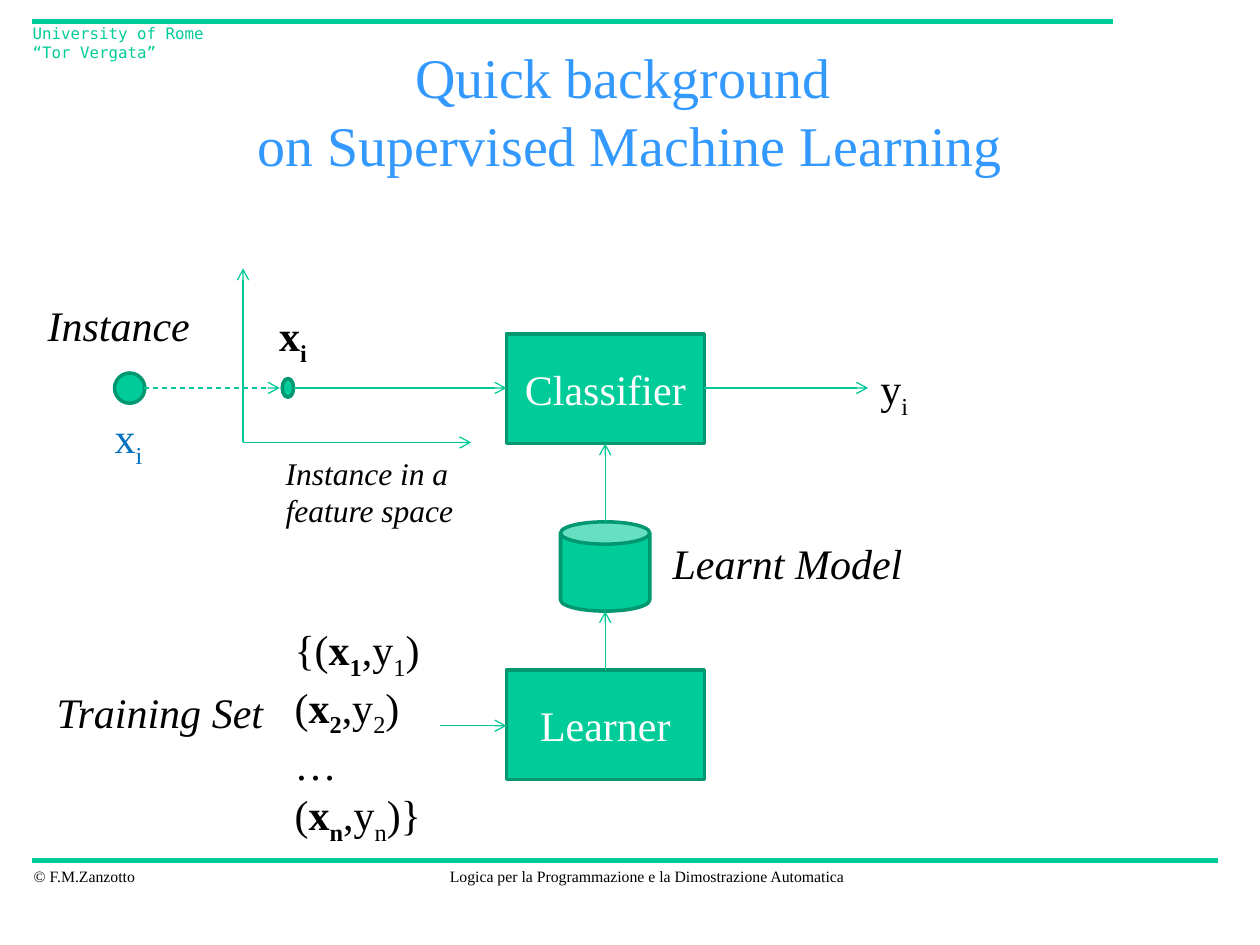
from lxml import etree
from pptx import Presentation
from pptx.dml.color import RGBColor
from pptx.enum.dml import MSO_LINE
from pptx.enum.shapes import MSO_CONNECTOR, MSO_SHAPE
from pptx.enum.text import MSO_ANCHOR, MSO_AUTO_SIZE, PP_ALIGN
from pptx.oxml.ns import qn
from pptx.util import Cm, Pt

RECT = MSO_SHAPE.RECTANGLE
CAN = MSO_SHAPE.CAN
DOT = MSO_SHAPE.FLOWCHART_CONNECTOR
STRAIGHT = MSO_CONNECTOR.STRAIGHT
DASH = MSO_LINE.DASH
LEFT, CENTER = PP_ALIGN.LEFT, PP_ALIGN.CENTER
MIDDLE, TOP = MSO_ANCHOR.MIDDLE, MSO_ANCHOR.TOP
GROW = MSO_AUTO_SIZE.SHAPE_TO_FIT_TEXT

COLORS = {
    "green": "00CC99",
    "outline": "009771",
    "arrow": "00C896",
    "title": "3399FF",
    "instance": "0070C0",
    "black": "000000",
    "white": "FFFFFF",
}
SERIF = "Times New Roman"
MONO = "DejaVu Sans Mono"

FLOW_Y = 7.82
MODEL_X = 12.2
BOX_X, BOX_W, BOX_H = 10.21, 3.99, 2.21
CLASSIFIER_Y, LEARNER_Y = 6.73, 13.51
MODEL_Y, MODEL_SIZE = 10.52, 1.8
ORIGIN_X, ORIGIN_Y = 4.9, 8.92


def color(name):
    return RGBColor.from_string(COLORS[name])


def style_font(font, size, ink, name=SERIF, **flags):
    formats = {"size": Pt(size), "name": name, **flags}
    for attribute, value in formats.items():
        setattr(font, attribute, value)
    font.color.rgb = color(ink)


def write_runs(paragraph, runs, size, ink, name=SERIF, italic=False):
    for text, marks in runs:
        run = paragraph.add_run()
        run.text = text
        style_font(run.font, size, ink, name, italic=italic, bold="b" in marks)
        if "s" in marks:
            run.font._element.set("baseline", "-25000")


def add_label(slide, place, lines, size=24, ink="black", name=SERIF,
              italic=False, wrap=False, align=LEFT):
    frame = slide.shapes.add_textbox(*map(Cm, place)).text_frame
    formats = {"word_wrap": wrap, "auto_size": GROW, "vertical_anchor": TOP}
    for attribute, value in formats.items():
        setattr(frame, attribute, value)
    for number, runs in enumerate(lines):
        paragraph = frame.add_paragraph() if number else frame.paragraphs[0]
        paragraph.alignment = align
        write_runs(paragraph, runs, size, ink, name, italic)


def add_node(slide, preset, place, text=""):
    node = slide.shapes.add_shape(preset, *map(Cm, place))
    node.shadow.inherit = False
    node.fill.solid()
    node.fill.fore_color.rgb = color("green")
    node.line.color.rgb = color("outline")
    node.line.width = Pt(2)
    if text:
        node.text_frame.vertical_anchor = MIDDLE
        paragraph = node.text_frame.paragraphs[0]
        paragraph.alignment = CENTER
        write_runs(paragraph, [(text, "")], 24, "white")


def add_line(slide, ends, ink, width):
    line = slide.shapes.add_connector(STRAIGHT, *map(Cm, ends))
    line.line.color.rgb = color(ink)
    line.line.width = Pt(width)
    etree.SubElement(line._element.spPr, qn("a:effectLst"))
    return line


def add_arrow(slide, ends, dashed=False):
    arrow = add_line(slide, ends, "arrow", 0.75)
    if dashed:
        arrow.line.dash_style = DASH
    outline = arrow.line._get_or_add_ln()
    etree.SubElement(outline, qn("a:tailEnd"), type="arrow")


def set_title(slide, text):
    title = slide.shapes.title
    place = {"left": 1.9, "top": 1.27, "width": 21.6, "height": 1.9}
    for attribute, value in place.items():
        setattr(title, attribute, Cm(value))
    frame = title.text_frame
    frame.text = text
    frame.auto_size = MSO_AUTO_SIZE.NONE
    frame.vertical_anchor = MIDDLE
    paragraph = frame.paragraphs[0]
    paragraph.alignment = CENTER
    for run in paragraph.runs:
        style_font(run.font, 32, "title")


def add_page_frame(slide):
    add_line(slide, (0.64, 17.35, 24.56, 17.35), "green", 3)
    add_line(slide, (0.64, 0.43, 22.43, 0.43), "green", 3)
    add_label(slide, (0.43, 17.35, 2.59, 0.64), [[("© F.M.Zanzotto", "")]], size=9)
    course = "Logica per la Programmazione e la Dimostrazione Automatica"
    add_label(slide, (8.76, 17.35, 8.56, 0.64), [[(course, "")]], size=9, align=CENTER)
    add_label(slide, (0.41, 0.36, 4.34, 0.64),
              [[("University of Rome “Tor Vergata”", "")]],
              size=9, ink="green", name=MONO, wrap=True)


def training_pair(opening, index, closing):
    return [(opening, ""), ("x", "b"), (index, "bs"), (",y", ""),
            (index, "s"), (closing, "")]


def add_nodes(slide):
    for text, top in (("Classifier", CLASSIFIER_Y), ("Learner", LEARNER_Y)):
        add_node(slide, RECT, (BOX_X, top, BOX_W, BOX_H), text)
    add_node(slide, CAN, (MODEL_X - MODEL_SIZE / 2, MODEL_Y, MODEL_SIZE, MODEL_SIZE))
    add_node(slide, DOT, (2.31, 7.52, 0.61, 0.61))
    add_node(slide, DOT, (5.69, 7.63, 0.23, 0.38))


def add_arrows(slide):
    flows = [
        (BOX_X + BOX_W, FLOW_Y, 17.5, FLOW_Y),
        (5.92, FLOW_Y, BOX_X, FLOW_Y),
        (8.86, 14.63, BOX_X, 14.63),
        (MODEL_X, LEARNER_Y, MODEL_X, MODEL_Y + MODEL_SIZE),
        (MODEL_X, MODEL_Y, MODEL_X, CLASSIFIER_Y + BOX_H),
        (ORIGIN_X, ORIGIN_Y, ORIGIN_X, 5.41),
        (ORIGIN_X, ORIGIN_Y, 9.5, ORIGIN_Y),
    ]
    for ends in flows:
        add_arrow(slide, ends)
    add_arrow(slide, (2.9, FLOW_Y, 5.64, FLOW_Y), dashed=True)


def add_labels(slide):
    captions = [
        ("Instance", (0.71, 5.92, 3.4, 1.27)),
        ("Training Set", (0.89, 13.72, 4.72, 1.27)),
        ("Learnt Model", (13.31, 10.72, 5.18, 1.27)),
    ]
    for text, place in captions:
        add_label(slide, place, [[(text, "")]], italic=True)
    add_label(slide, (5.51, 9.02, 3.99, 1.8), [[("Instance in a feature space", "")]],
              size=18, italic=True, wrap=True)

    variables = [
        ("y", "", "black", 17.5, 7.19),
        ("x", "b", "black", 5.38, 6.12),
        ("x", "", "instance", 2.06, 8.18),
    ]
    for letter, weight, ink, left, top in variables:
        add_label(slide, (left, top, 1.09, 1.27),
                  [[(letter, weight), ("i", weight + "s")]], ink=ink)

    training_set = [
        training_pair("{(", "1", ")"),
        training_pair("(", "2", ")"),
        [("…", "")],
        training_pair("(", "n", ")}"),
    ]
    add_label(slide, (5.69, 12.45, 3.18, 4.37), training_set)


def main():
    deck = Presentation()
    deck.slide_width, deck.slide_height = Cm(25.4), Cm(19.05)
    slide = deck.slides.add_slide(deck.slide_layouts[5])
    add_page_frame(slide)
    set_title(slide, "Quick background \von Supervised Machine Learning")
    add_nodes(slide)
    add_arrows(slide)
    add_labels(slide)
    deck.save("out.pptx")


if __name__ == "__main__":
    main()
